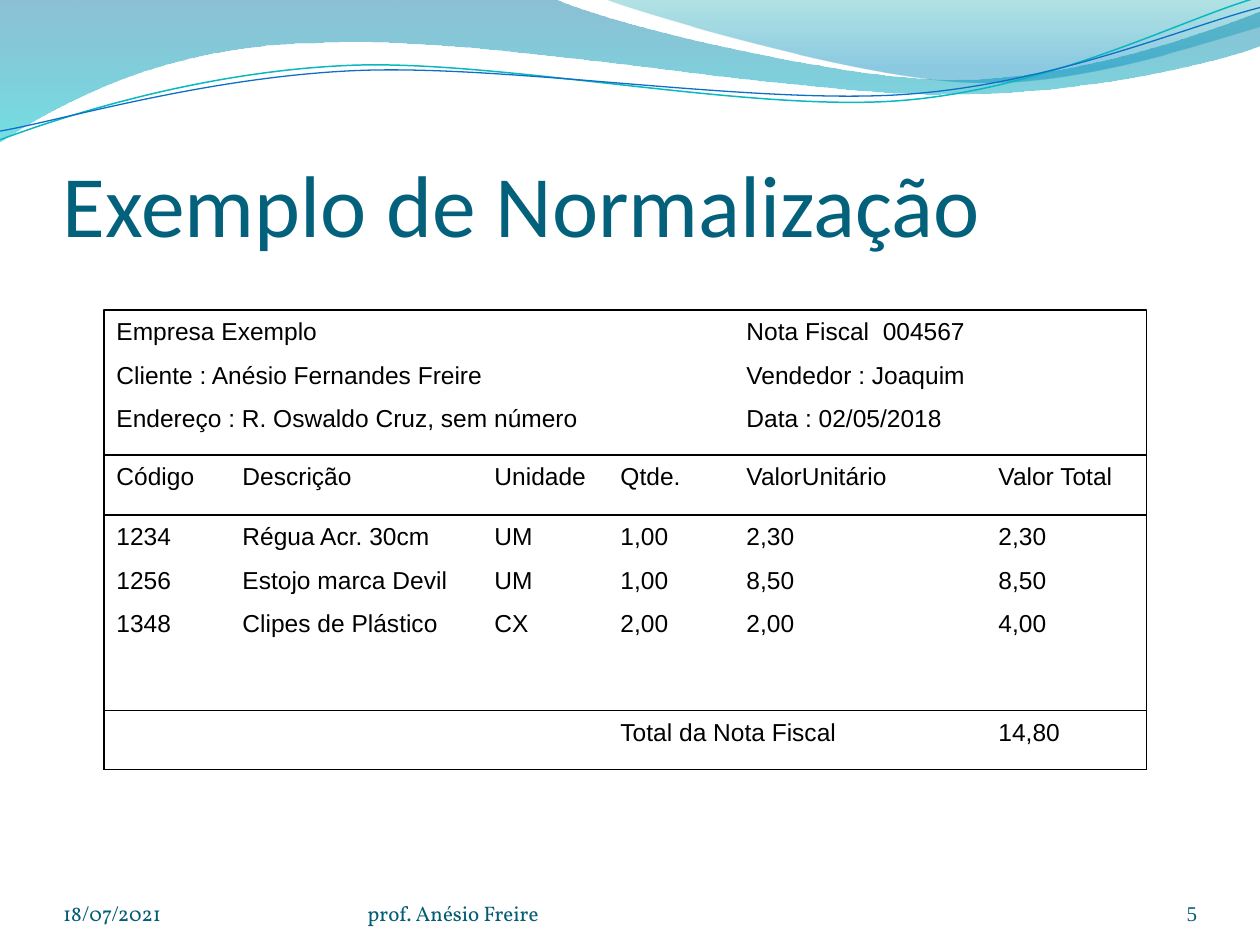
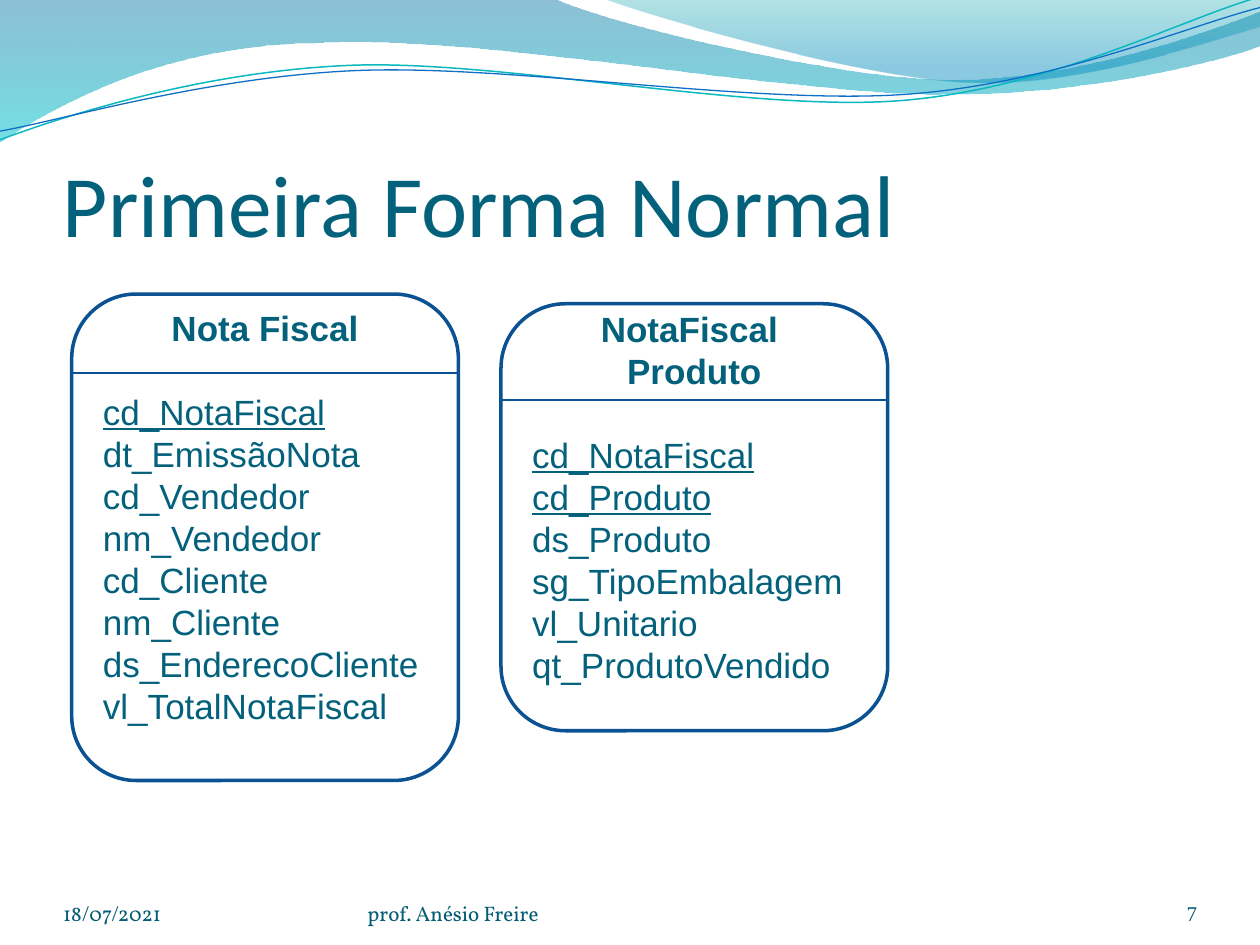
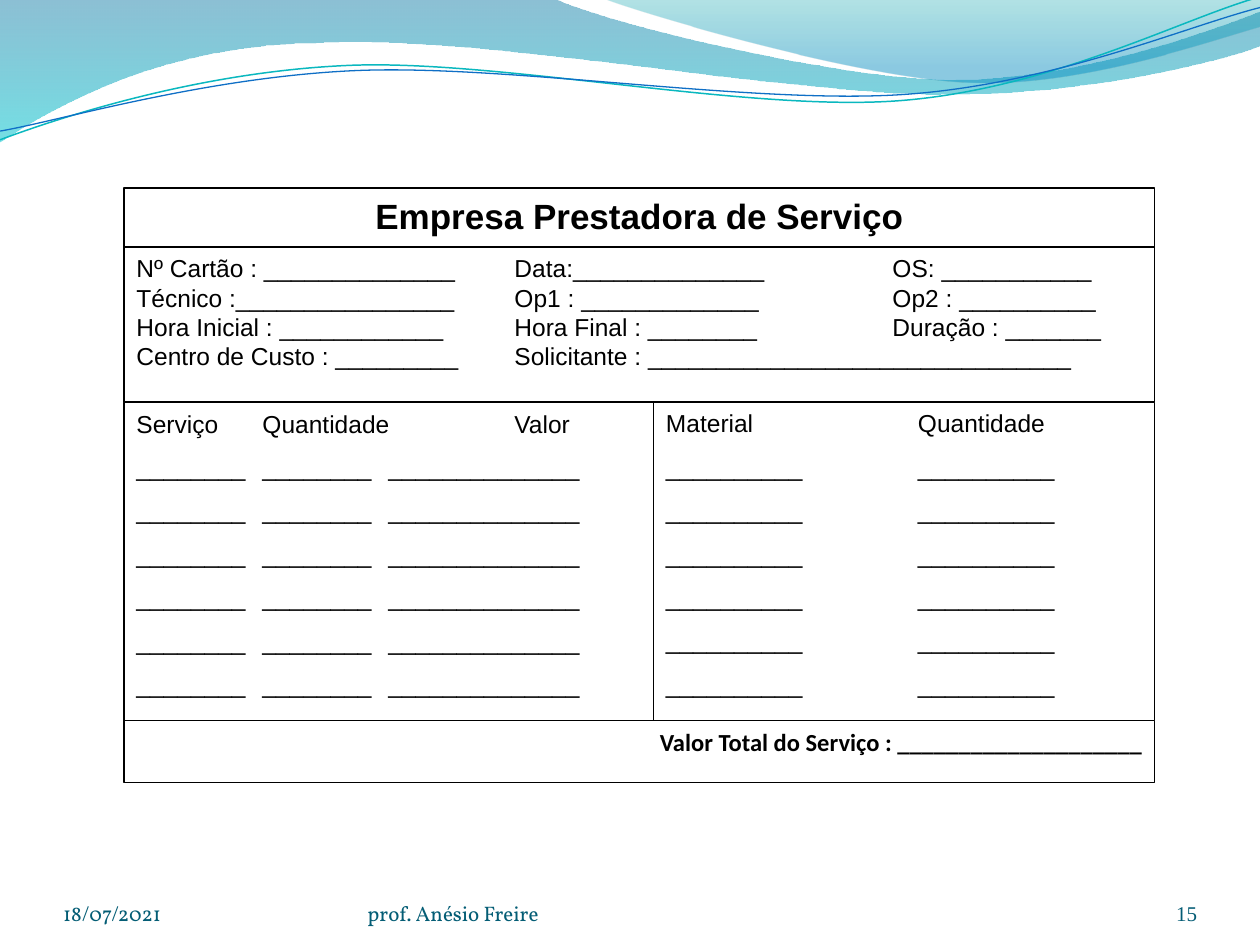
from lxml import etree
from pptx import Presentation
from pptx.dml.color import RGBColor
from pptx.enum import shapes, text
from pptx.oxml.ns import qn
from pptx.util import Pt

COLORS = {
    "title": "04617B", "footer": "045D75", "page": "045C75",
    "ink": "000000", "paper": "FFFFFF",
    "entity": "0B5292", "divider": "095295",
    "cyan line": "0AB8BF", "blue line": "0F6FC6",
    "deep blue": "0074A1", "turquoise": "00C6CF",
    "teal": "00A1A9", "sky": "008BBF",
}
LEFT, CENTER, RIGHT = text.PP_ALIGN.LEFT, text.PP_ALIGN.CENTER, text.PP_ALIGN.RIGHT
TOP, MIDDLE, BOTTOM = (text.MSO_ANCHOR.TOP, text.MSO_ANCHOR.MIDDLE,
                       text.MSO_ANCHOR.BOTTOM)
INCH = 72

# Outlines in points: a start, then line ends (2 numbers) or Bézier curves (6).
LEFT_WAVE = [
    (0, -0.7), (316.8, -0.7),
    (342.7, 12.2, 478.1, 45.4, 545.8, 45.4),
    (614.2, 45.4, 689.8, 18.7, 720, 6.5),
    (720.7, 25.9),
    (707.8, 31.7, 626.4, 54.7, 537.1, 54),
    (447.8, 54, 275, 20.2, 185, 24.5),
    (92.9, 25.2, 33.1, 59.8, -0.7, 81.4),
]
RIGHT_WAVE = [
    (344.9, -0.7),
    (366.5, 7.9, 491, 44.6, 553.7, 46.8),
    (616.3, 49.7, 691.9, 23, 720, 15.1),
    (720, 0),
]
CYAN_LINE = [
    (0, 79.9),
    (34.6, 67, 113.8, 41, 199.4, 37.4),
    (284.4, 33.8, 427, 64.1, 513.4, 57.6),
    (599.8, 51.1, 675.4, 10.8, 718.6, -1.4),
]
BLUE_LINE = [
    (0, 74.9),
    (33.8, 69.1, 118.1, 43.9, 203.8, 40.3),
    (290.2, 36.7, 429.8, 59.8, 516.2, 54),
    (601.9, 48.2, 677.5, 15.1, 720, 4.3),
]
# Stops: position, colour, opacity in percent
LEFT_STOPS = [(0, "deep blue", 45), (1, "turquoise", 55)]
RIGHT_STOPS = [(0, "teal", 30), (0.8, "sky", 45)]


def rgb(name):
    return RGBColor.from_string(COLORS[name])


class Deck:
    def __init__(self):
        self.prs = Presentation()
        self.prs.slide_width, self.prs.slide_height = Pt(720), Pt(540)
        self.slide = None

    def new_slide(self, page, title=None):
        self.slide = self.prs.slides.add_slide(self.prs.slide_layouts[6])
        self.wave(LEFT_WAVE, LEFT_STOPS)
        self.wave(RIGHT_WAVE, RIGHT_STOPS)
        self.curve(CYAN_LINE, "cyan line", 0.85)
        self.curve(BLUE_LINE, "blue line", 0.75)
        if title:
            self.label((36, 55.8, 648, 90), title, 50, "Calibri", "title", top_inset=3.6)
        self.label((36, 500.4, 168, 28.8), "18/07/2021", 12, "Vollkorn", "footer")
        self.label((210, 500.4, 264, 28.8), "prof. Anésio Freire", 12, "Vollkorn", "footer")
        self.label((624, 500.4, 60, 28.8), page, 12, "Times New Roman", "page", RIGHT)

    def outline(self, start, segments, close):
        """Build a freeform through the segment ends, then bend its curves."""
        ends = [segment[-2:] for segment in segments]
        builder = self.slide.shapes.build_freeform(*map(Pt, start), scale=1.0)
        builder.add_line_segments([tuple(map(Pt, end)) for end in ends], close=close)
        shape = builder.convert_to_shape()
        shape.shadow.inherit = False
        sides = list(shape._element.iter(qn("a:lnTo")))
        for side, segment in zip(sides, segments):
            if len(segment) == 6:
                side.tag = qn("a:cubicBezTo")
                for i in (0, 2):
                    control = etree.Element(qn("a:pt"), x=str(Pt(segment[i]) - shape.left),
                                            y=str(Pt(segment[i + 1]) - shape.top))
                    side.insert(i // 2, control)
        return shape

    def wave(self, outline, stops):
        shape = self.outline(outline[0], outline[1:], True)
        shape.line.fill.background()
        shape.fill.gradient()
        shape.fill.gradient_angle = 270
        for stop, (position, color, opacity) in zip(shape.fill.gradient_stops, stops):
            stop.position = position
            stop.color.rgb = rgb(color)
            for value in stop._gs.iter(qn("a:srgbClr")):
                etree.SubElement(value, qn("a:alpha"), val=str(opacity * 1000))

    def curve(self, outline, color, width):
        shape = self.outline(outline[0], outline[1:], False)
        shape.fill.background()
        shape.line.color.rgb = rgb(color)
        shape.line.width = Pt(width)

    def style(self, paragraph, size, font, color, align=LEFT, bold=False):
        paragraph.alignment = align
        paragraph.font.size, paragraph.font.name = Pt(size), font
        paragraph.font.bold = bold
        paragraph.font.color.rgb = rgb(color)

    def label(self, box, words, size, font, color, align=LEFT, top_inset=0):
        frame = self.slide.shapes.add_textbox(*map(Pt, box)).text_frame
        frame.word_wrap, frame.vertical_anchor = True, BOTTOM
        frame.margin_left = frame.margin_right = frame.margin_bottom = 0
        frame.margin_top = Pt(top_inset)
        frame.text = words
        self.style(frame.paragraphs[0], size, font, color, align)

    def frame(self, kind, box, line, width, anchor, lines):
        """Draw an outlined box with one paragraph per line of text."""
        shape = self.slide.shapes.add_shape(kind, *map(Pt, box))
        shape.shadow.inherit = False
        shape.line.color.rgb, shape.line.width = rgb(line), Pt(width)
        shape.text_frame.word_wrap = True
        shape.text_frame.vertical_anchor = anchor
        shape.text_frame.text = "\n".join(lines)
        return shape

    def form(self, box, rows, stops=(), gap=8, size=14, font="Arial",
             align=LEFT, bold=False):
        """Draw a form section; cells of a row sit at tab stops given in inches."""
        section = self.frame(shapes.MSO_SHAPE.RECTANGLE, box, "ink", 0.75, TOP,
                             ["\t".join(row) for row in rows])
        section.fill.solid()
        section.fill.fore_color.rgb = rgb("paper")
        for paragraph in section.text_frame.paragraphs:
            self.style(paragraph, size, font, "ink", align, bold)
            paragraph.line_spacing = Pt(size * 1.2)
            paragraph.space_after = Pt(gap)
            if stops:
                self.tab_stops(paragraph, stops)

    def tab_stops(self, paragraph, stops):
        tabs = etree.Element(qn("a:tabLst"))
        for stop in stops:
            etree.SubElement(tabs, qn("a:tab"), pos=str(Pt(stop * INCH)), algn="l")
        paragraph._p.pPr.find(qn("a:defRPr")).addprevious(tabs)

    def entity(self, box, heading, keys, attributes):
        """Draw a data entity: bold heading, underlined keys, plain attributes."""
        line_height = 24
        shape = self.frame(shapes.MSO_SHAPE.ROUNDED_RECTANGLE, box, "entity", 2, MIDDLE,
                           heading + keys + attributes)
        shape.fill.background()
        shape.text_frame.margin_bottom = Pt(3.6 + line_height)
        first_key = len(heading)
        first_attribute = first_key + len(keys)
        for i, paragraph in enumerate(shape.text_frame.paragraphs):
            in_heading = i < first_key
            self.style(paragraph, 20, "Arial", "title",
                       CENTER if in_heading else LEFT, in_heading)
            paragraph.font.underline = first_key <= i < first_attribute
            paragraph.line_spacing = Pt(line_height)
            if i == first_key:
                paragraph.space_before = Pt(line_height)

    def divider(self, left, right, y):
        line = self.slide.shapes.add_connector(
            shapes.MSO_CONNECTOR.STRAIGHT, Pt(left), Pt(y), Pt(right), Pt(y))
        line.line.color.rgb, line.line.width = rgb("divider"), Pt(0.75)
        etree.SubElement(line._element.spPr, qn("a:effectLst"))


def invoice(deck):
    deck.new_slide("5", "Exemplo de Normalização")
    left, width = 59.5, 595.5
    columns = (1, 3, 4, 5, 7)
    deck.form((left, 177.1, width, 262.8), [
        ("Empresa Exemplo", "Nota Fiscal  004567"),
        ("Cliente : Anésio Fernandes Freire", "Vendedor : Joaquim"),
        ("Endereço : R. Oswaldo Cruz, sem número", "Data : 02/05/2018"),
    ], (5,))
    deck.form((left, 260, width, 34), [
        ("Código", "Descrição", "Unidade", "Qtde.", "ValorUnitário", "Valor Total"),
    ], columns)
    deck.form((left, 294.3, width, 112), [
        ("1234", "Régua Acr. 30cm", "UM", "1,00", "2,30", "2,30"),
        ("1256", "Estojo marca Devil", "UM", "1,00", "8,50", "8,50"),
        ("1348", "Clipes de Plástico", "CX", "2,00", "2,00", "4,00"),
    ], columns)
    deck.form((left, 406.1, width, 33.8), [("", "Total da Nota Fiscal", "14,80")], (4, 7))


def first_normal_form(deck):
    deck.new_slide("7", "Primeira Forma Normal")
    invoice_left, item_left, width = 41, 286.3, 221
    deck.entity((invoice_left, 168, width, 278), ["Nota Fiscal"], ["cd_NotaFiscal"], [
        "dt_EmissãoNota cd_Vendedor", "nm_Vendedor", "cd_Cliente", "nm_Cliente",
        "ds_EnderecoCliente", "vl_TotalNotaFiscal",
    ])
    deck.entity((item_left, 173.6, width, 244), ["NotaFiscal ", "Produto"],
                ["cd_NotaFiscal", "cd_Produto"], [
        "ds_Produto", "sg_TipoEmbalagem", "vl_Unitario", "qt_ProdutoVendido",
    ])
    deck.divider(item_left, item_left + width, 228.6)
    deck.divider(invoice_left, invoice_left + width, 213.1)


def service_order(deck):
    deck.new_slide("15")
    left, width, service_width = 70.9, 589, 302.6
    blank_rows = 6

    def blank(length):
        return "_" * length

    deck.form((left, 107.5, width, 33.8), [("Empresa Prestadora de Serviço",)],
              size=20, align=CENTER, bold=True)
    deck.form((left, 141.2, width, 88.6), [
        ("Nº Cartão : " + blank(14), "Data:" + blank(14), "OS: " + blank(11)),
        ("Técnico :" + blank(16), "Op1 : " + blank(13), "Op2 : " + blank(10)),
        ("Hora Inicial : " + blank(12), "Hora Final : " + blank(8), "Duração : " + blank(7)),
        ("Centro de Custo : " + blank(9), "Solicitante : " + blank(31)),
    ], (3, 6), gap=0)
    deck.form((left, 230, service_width, 181.7),
              [("Serviço ", "Quantidade", "Valor")]
              + [(blank(8), blank(8), blank(14))] * blank_rows, (1, 2, 3))
    deck.form((left + service_width, 229.8, width - service_width, 182),
              [("Material", "Quantidade")] + [(blank(10), blank(10))] * blank_rows, (2,))
    deck.form((left, 411.7, width, 35.3), [("Valor Total do Serviço : " + blank(20),)],
              font="Calibri", align=RIGHT, bold=True)


def main():
    deck = Deck()
    invoice(deck)
    first_normal_form(deck)
    service_order(deck)
    deck.prs.save("out.pptx")


if __name__ == "__main__":
    main()
